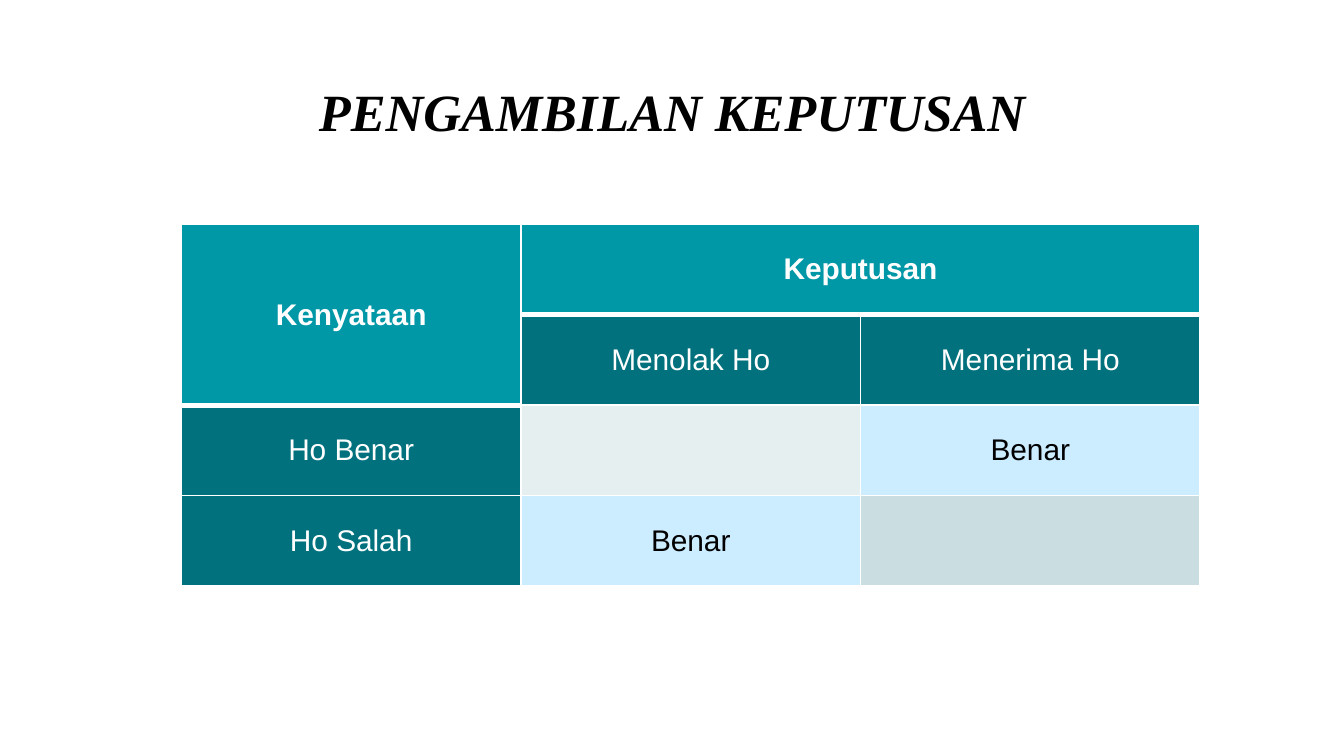
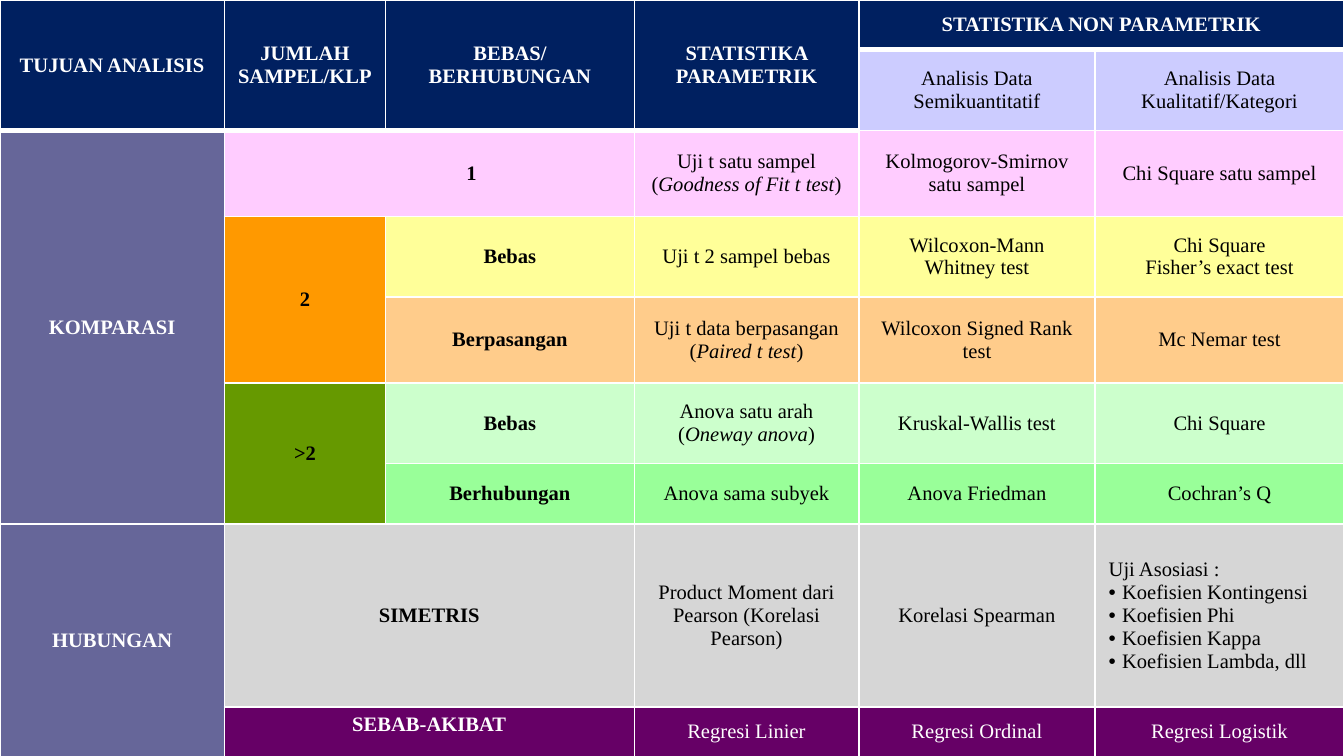
from dataclasses import dataclass

from lxml.etree import SubElement
from pptx import Presentation
from pptx.dml.color import RGBColor
from pptx.enum.text import MSO_ANCHOR, PP_ALIGN
from pptx.oxml.ns import qn
from pptx.util import Inches, Pt

COLORS = {
    "white": "FFFFFF", "black": "000000",
    "teal": "0097A7", "deep_teal": "00717D", "mist": "E6EFF0",
    "grey_teal": "CADDE1", "sky": "CCECFF",
    "navy": "002060", "lavender": "CCCCFF", "slate": "666699",
    "pink": "FFCCFF", "orange": "FF9900", "yellow": "FFFF99",
    "peach": "FFCC8B", "olive": "669900", "mint": "CCFFCC",
    "green": "99FF99", "grey": "D6D6D6", "purple": "660066",
}
SERIF, SANS = "Times New Roman", "Arial"
THIN, THICK = 1, 3


@dataclass
class Entry:
    """Content and look of one table cell; asterisks enclose italics."""
    text: str
    fill: str
    ink: str = "black"
    bold: bool = False
    rows: int = 1
    cols: int = 1
    header: bool = False
    align: PP_ALIGN = PP_ALIGN.CENTER
    anchor: MSO_ANCHOR = MSO_ANCHOR.MIDDLE
    indent: float = 0


def color(name):
    """Return the named colour."""
    return RGBColor.from_string(COLORS[name])


def head(text, fill, rows=1, cols=1):
    """Return a bold white heading entry with a thick lower rule."""
    return Entry(text, fill, "white", True, rows, cols, header=True)


def group(text, fill, rows=1, cols=1, ink="black", **options):
    """Return a bold entry that labels a group."""
    return Entry(text, fill, ink, True, rows, cols, **options)


def tests(fill, *texts, ink="black"):
    """Return plain entries that share one fill."""
    return [Entry(text, fill, ink) for text in texts]


def set_font(font, name, size, ink, bold):
    """Apply the face, size, colour and weight to a font."""
    font.name, font.size, font.bold = name, Pt(size), bold
    font.color.rgb = color(ink)


def add_borders(cell, entry, first_row):
    """Draw white rules around a cell."""
    widths = {"L": THIN, "R": THIN, "T": THIN,
              "B": THICK if entry.header else THIN}
    if not first_row:
        del widths["T"]
    properties = cell._tc.get_or_add_tcPr()
    for side, width in widths.items():
        line = SubElement(properties, qn(f"a:ln{side}"), w=str(Pt(width)))
        solid = SubElement(line, qn("a:solidFill"))
        SubElement(solid, qn("a:srgbClr"), val=COLORS["white"])


def add_bullet(paragraph):
    """Give a paragraph a hanging black bullet."""
    properties = paragraph._p.get_or_add_pPr()
    properties.set("marL", str(Inches(0.1)))
    properties.set("indent", str(Inches(-0.1)))
    bullet_color = SubElement(properties, qn("a:buClr"))
    SubElement(bullet_color, qn("a:srgbClr"), val=COLORS["black"])
    SubElement(properties, qn("a:buFont"), typeface=SANS)
    SubElement(properties, qn("a:buChar"), char="•")


def fill_text(cell, entry, face, size):
    """Write the paragraphs of an entry into its cell."""
    frame = cell.text_frame
    for index, line in enumerate(entry.text.split("\n")):
        paragraph = frame.paragraphs[0] if index == 0 else frame.add_paragraph()
        paragraph.alignment = entry.align
        if entry.indent:
            paragraph._p.get_or_add_pPr().set("marL", str(Inches(entry.indent)))
        if line.startswith("•"):
            add_bullet(paragraph)
        set_font(paragraph.font, face, size, entry.ink, entry.bold)
        for position, part in enumerate(line.lstrip("•").split("*")):
            if part:
                run = paragraph.add_run()
                run.text = part
                if position % 2:
                    run.font.italic = True


def add_grid(slide, left, top, widths, heights, entries, face, size):
    """Build a table from rows of entries, where None is a spanned cell."""
    table = slide.shapes.add_table(
        len(heights), len(widths), Inches(left), Inches(top),
        Inches(sum(widths)), Inches(sum(heights))).table
    table.first_row = table.horz_banding = False
    for column, width in zip(table.columns, widths):
        column.width = Inches(width)
    for row, height in zip(table.rows, heights):
        row.height = Inches(height)
    for r, row_entries in enumerate(entries):
        for c, entry in enumerate(row_entries):
            if entry is None:
                continue
            for y in range(r, r + entry.rows):
                for x in range(c, c + entry.cols):
                    cell = table.cell(y, x)
                    add_borders(cell, entry, y == 0)
                    cell.fill.solid()
                    cell.fill.fore_color.rgb = color(entry.fill)
                    cell.vertical_anchor = entry.anchor
                    if (y, x) != (r, c) or not entry.text:
                        SubElement(cell.text_frame.paragraphs[0]._p,
                                   qn("a:endParaRPr"), sz=str(size * 100))
            origin = table.cell(r, c)
            if entry.rows * entry.cols > 1:
                origin.merge(table.cell(r + entry.rows - 1, c + entry.cols - 1))
            if entry.text:
                fill_text(origin, entry, face, size)


def add_title(slide, text, left, top, width, height):
    """Place and format the slide title."""
    title = slide.shapes.title
    title.left, title.top = Inches(left), Inches(top)
    title.width, title.height = Inches(width), Inches(height)
    frame = title.text_frame
    frame.text = text
    frame.vertical_anchor = MSO_ANCHOR.TOP
    frame.margin_left = frame.margin_right = Inches(0.1)
    frame.margin_top = frame.margin_bottom = Inches(0.1)
    paragraph = frame.paragraphs[0]
    paragraph.alignment = PP_ALIGN.CENTER
    set_font(paragraph.font, SERIF, 28, "black", True)
    paragraph.font.italic = True


def decision_slide(deck):
    """Add the table of decisions against reality."""
    slide = deck.slides.add_slide(deck.slide_layouts[5])
    add_title(slide, "PENGAMBILAN KEPUTUSAN", 0.34, 0.49, 9.32, 0.63)
    reject, accept, true_label, false_label = tests(
        "deep_teal", "Menolak Ho", "Menerima Ho", "Ho Benar", "Ho Salah",
        ink="white")
    correct = Entry("Benar", "sky")
    entries = [
        [head("Kenyataan", "teal", rows=2), head("Keputusan", "teal", cols=2), None],
        [None, reject, accept],
        [true_label, Entry("", "mist"), correct],
        [false_label, correct, Entry("", "grey_teal")],
    ]
    add_grid(slide, 1.35, 1.67, [7.58 / 3] * 3, [2.69 / 4] * 4, entries, SANS, 16)


def test_choice_slide(deck):
    """Add the full-slide table of statistical tests."""
    slide = deck.slides.add_slide(deck.slide_layouts[6])
    headings = ["TUJUAN ANALISIS", "JUMLAH SAMPEL/KLP", "BEBAS/ BERHUBUNGAN",
                "STATISTIKA PARAMETRIK"]
    association = Entry(
        "Uji Asosiasi :\n•Koefisien Kontingensi\n•Koefisien Phi\n"
        "•Koefisien Kappa\n•Koefisien Lambda, dll",
        "grey", align=PP_ALIGN.JUSTIFY)
    entries = [
        [*(head(text, "navy", rows=2) for text in headings),
         head("STATISTIKA NON PARAMETRIK", "navy", cols=2), None],
        [None] * 4 + tests("lavender", "Analisis Data Semikuantitatif",
                           "Analisis Data Kualitatif/Kategori"),
        [group("KOMPARASI", "slate", rows=5, ink="white"),
         group(" 1", "pink", cols=2, indent=0.59), None,
         *tests("pink", "Uji t satu sampel (*Goodness of Fit t test*)",
                "Kolmogorov-Smirnov satu sampel", "Chi Square satu sampel")],
        [None, group("2", "orange", rows=2), group("Bebas", "yellow"),
         *tests("yellow", "Uji t 2 sampel bebas", "Wilcoxon-Mann Whitney test",
                "Chi Square\nFisher’s exact test")],
        [None, None, group("Berpasangan", "peach"),
         *tests("peach", "Uji t data berpasangan (*Paired t test*)",
                "Wilcoxon Signed Rank test", "Mc Nemar test")],
        [None, group(">2", "olive", rows=2), group("Bebas", "mint"),
         *tests("mint", "Anova satu arah\n(*Oneway anova*)",
                "Kruskal-Wallis test", "Chi Square")],
        [None, None, group("Berhubungan", "green"),
         *tests("green", "Anova sama subyek", "Anova Friedman", "Cochran’s Q")],
        [group("HUBUNGAN", "slate", rows=2, ink="white"),
         group("SIMETRIS", "grey", cols=2), None,
         *tests("grey", "Product Moment dari Pearson (Korelasi Pearson)",
                "Korelasi Spearman"), association],
        [None, group("SEBAB-AKIBAT", "purple", cols=2, ink="white",
                     anchor=MSO_ANCHOR.TOP), None,
         *tests("purple", "Regresi Linier", "Regresi Ordinal",
                "Regresi Logistik", ink="white")],
    ]
    widths = [1.67, 1.2, 1.85, 1.67, 1.76, 1.85]
    heights = [0.37, 0.6, 0.64, 0.6, 0.64, 0.6, 0.45, 1.36, 0.37]
    add_grid(slide, 0, 0, widths, heights, entries, SERIF, 11)


def main():
    """Build and save the deck."""
    deck = Presentation()
    deck.slide_width = Inches(10)
    deck.slide_height = deck.slide_width * 9 // 16
    decision_slide(deck)
    test_choice_slide(deck)
    deck.save("out.pptx")


if __name__ == "__main__":
    main()
